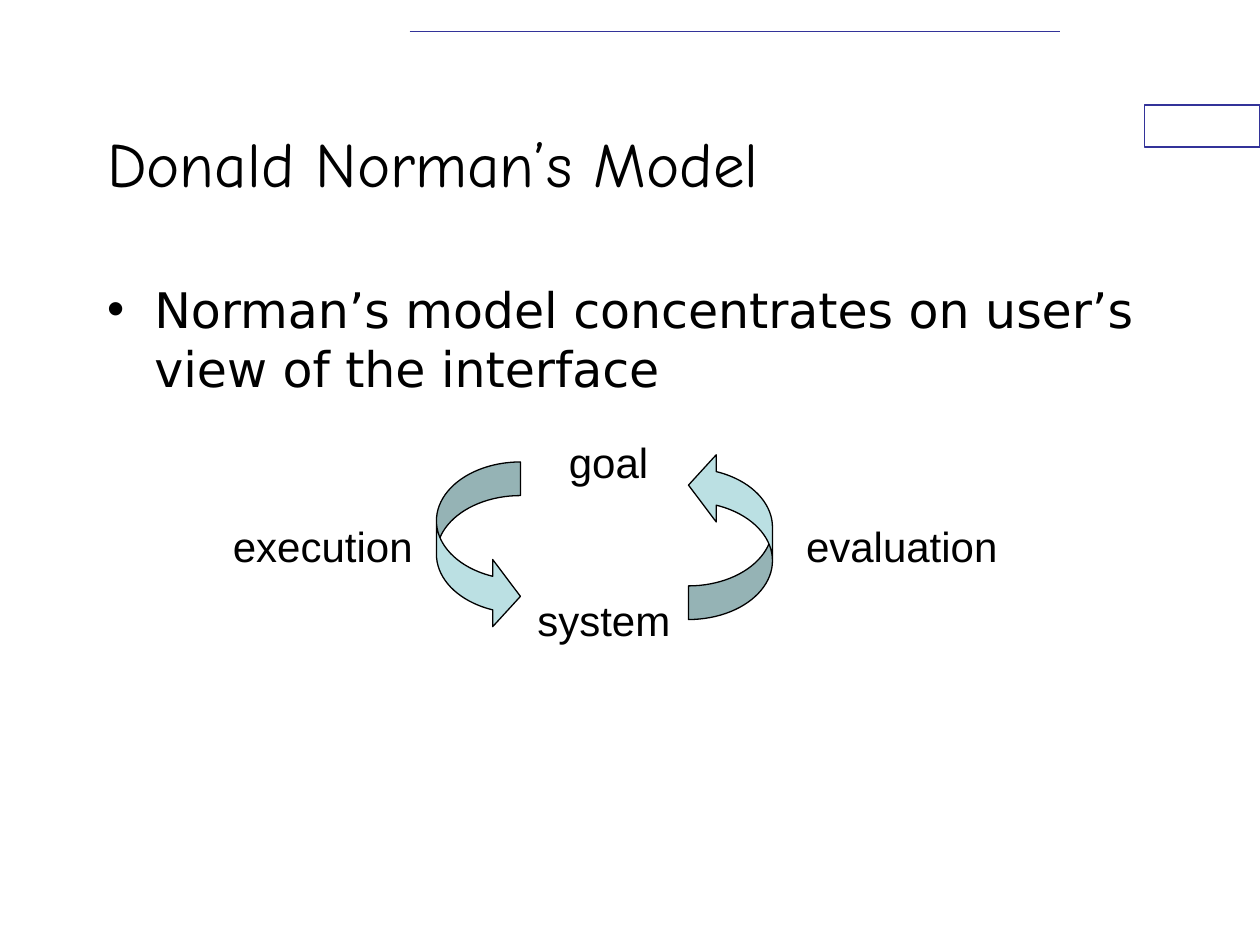
from pptx import Presentation
from pptx.dml.color import RGBColor
from pptx.enum.shapes import MSO_CONNECTOR, MSO_SHAPE
from pptx.enum.text import MSO_ANCHOR, MSO_AUTO_SIZE, PP_ALIGN
from pptx.oxml.ns import qn
from pptx.util import Pt
from lxml import etree

RECTANGLE = MSO_SHAPE.RECTANGLE
CURVED_ARROW = MSO_SHAPE.CURVED_RIGHT_ARROW
STRAIGHT = MSO_CONNECTOR.STRAIGHT
MIDDLE = MSO_ANCHOR.MIDDLE
NO_FIT = MSO_AUTO_SIZE.NONE
FIT_SHAPE = MSO_AUTO_SIZE.SHAPE_TO_FIT_TEXT
LEFT = PP_ALIGN.LEFT
COLORS = {"text": "000000", "paper": "FFFFFF", "rule": "333399", "arrow": "BBE0E3"}


def color(name):
    return RGBColor.from_string(COLORS[name])


def write(paragraph, text, font_name, size):
    paragraph.alignment = LEFT
    run = paragraph.add_run()
    run.text = text
    run.font.name = font_name
    run.font.size = Pt(size)
    run.font.color.rgb = color("text")


presentation = Presentation()
presentation.slide_width, presentation.slide_height = Pt(720), Pt(540)
slide = presentation.slides.add_slide(presentation.slide_layouts[1])
shapes = slide.shapes

# Decoration: box at the right edge and rule at the top
box = shapes.add_shape(RECTANGLE, Pt(654), Pt(60), Pt(66), Pt(24))
box.shadow.inherit = False
box.fill.solid()
box.fill.fore_color.rgb = color("paper")
box.line.color.rgb = color("rule")
box.line.width = Pt(0.75)

rule = shapes.add_connector(STRAIGHT, Pt(234), Pt(18), Pt(606), Pt(18))
rule.line.color.rgb = color("rule")
rule.line.width = Pt(1)
etree.SubElement(rule._element.spPr, qn("a:effectLst"))
rule._element.remove(rule._element.find(qn("p:style")))

# Title
title = shapes.title
title.left, title.top, title.width, title.height = Pt(54), Pt(48), Pt(540), Pt(90)
title.text_frame.vertical_anchor = MIDDLE
title.text_frame.auto_size = NO_FIT
write(title.text_frame.paragraphs[0], "Donald Norman’s Model", "Comic Neue", 36)

# Bulleted statement
body = slide.placeholders[1]
body.left, body.top, body.width, body.height = Pt(54), Pt(156), Pt(612), Pt(324)
body.text_frame.auto_size = NO_FIT
paragraph = body.text_frame.paragraphs[0]
properties = paragraph._p.get_or_add_pPr()
properties.set("marL", str(Pt(27)))
properties.set("indent", str(-Pt(27)))
etree.SubElement(properties, qn("a:buChar")).set("char", "•")
write(paragraph, "Norman’s model concentrates on user’s view of the interface",
      "DejaVu Sans", 28)

# Cycle labels: text, left, top, width
labels = [
    ("goal", 318, 246, 62),
    ("execution", 126, 294, 120),
    ("evaluation", 453.5, 294, 126),
    ("system", 300, 336, 94),
]
for text, left, top, width in labels:
    label = shapes.add_textbox(Pt(left), Pt(top), Pt(width), Pt(36))
    label.text_frame.word_wrap = False
    label.text_frame.auto_size = FIT_SHAPE
    write(label.text_frame.paragraphs[0], text, "Arial", 24)

# Cycle arrows: the second is the first turned half round
for left, top, rotation in [(249.4, 264, 0), (393.4, 258, 180)]:
    arrow = shapes.add_shape(CURVED_ARROW, Pt(left), Pt(top), Pt(48), Pt(96))
    arrow.rotation = rotation
    for index, value in enumerate((0.4, 0.8, 0.33)):
        arrow.adjustments[index] = value
    arrow.shadow.inherit = False
    arrow.fill.solid()
    arrow.fill.fore_color.rgb = color("arrow")
    arrow.line.color.rgb = color("text")
    arrow.line.width = Pt(0.75)

presentation.save("out.pptx")
